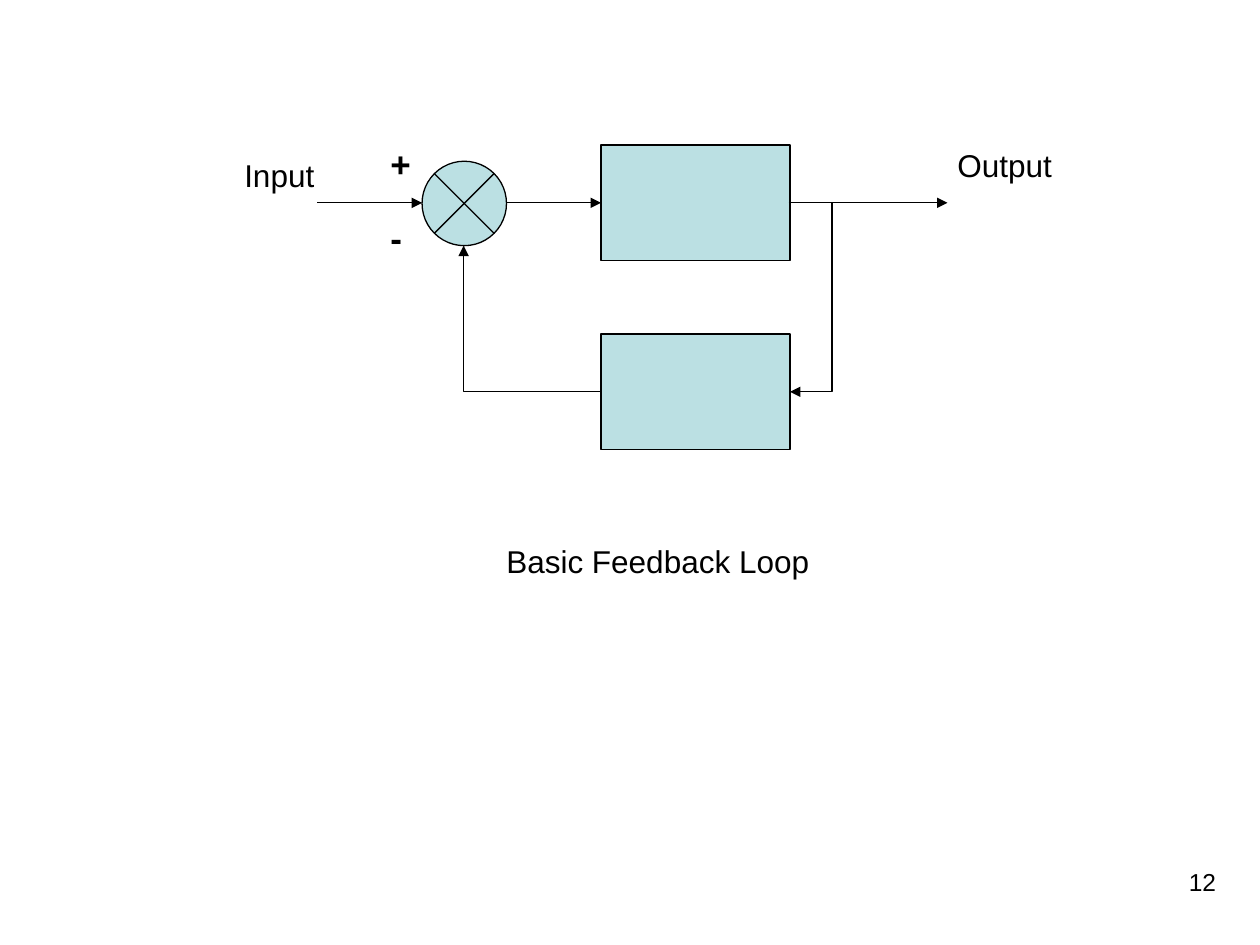
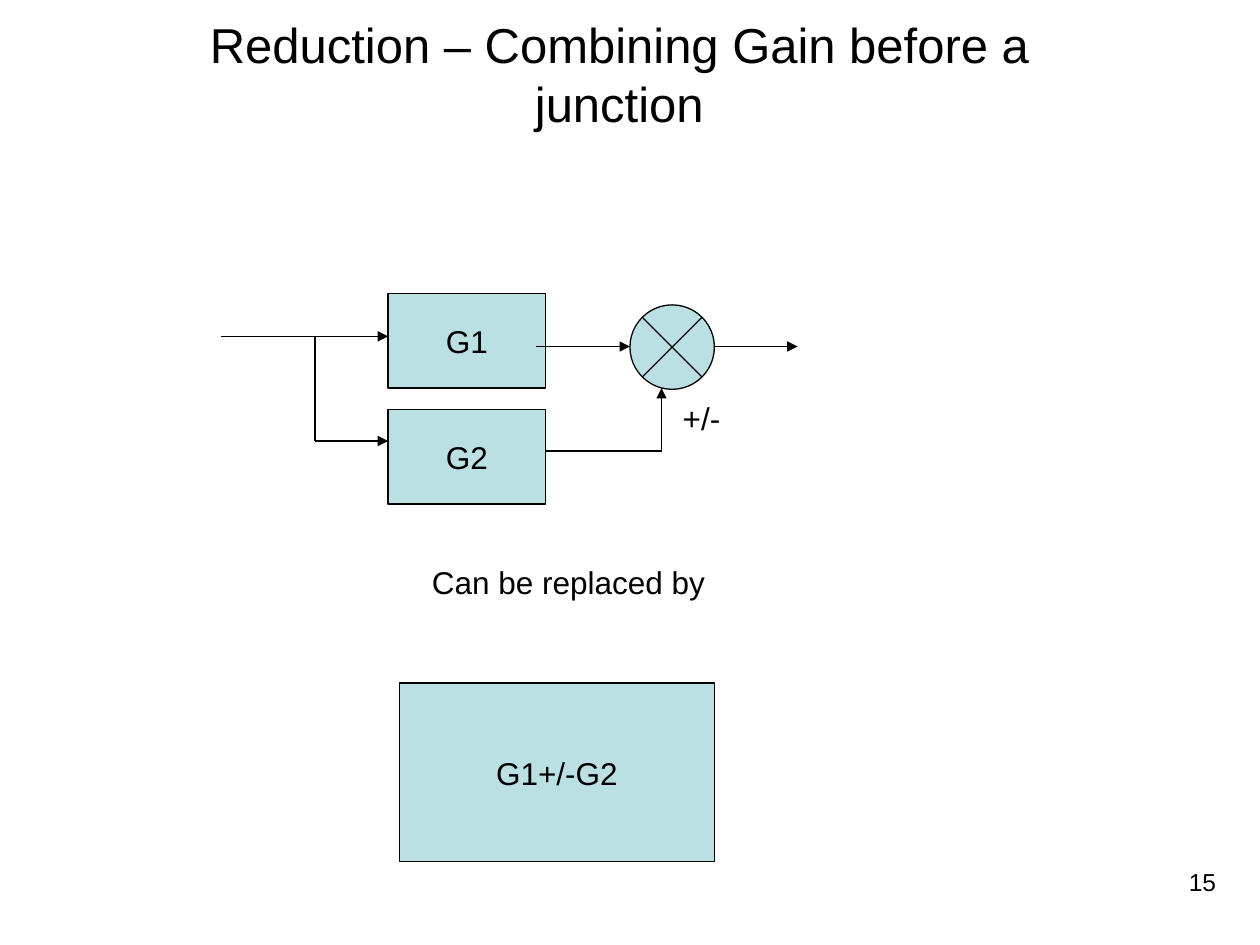
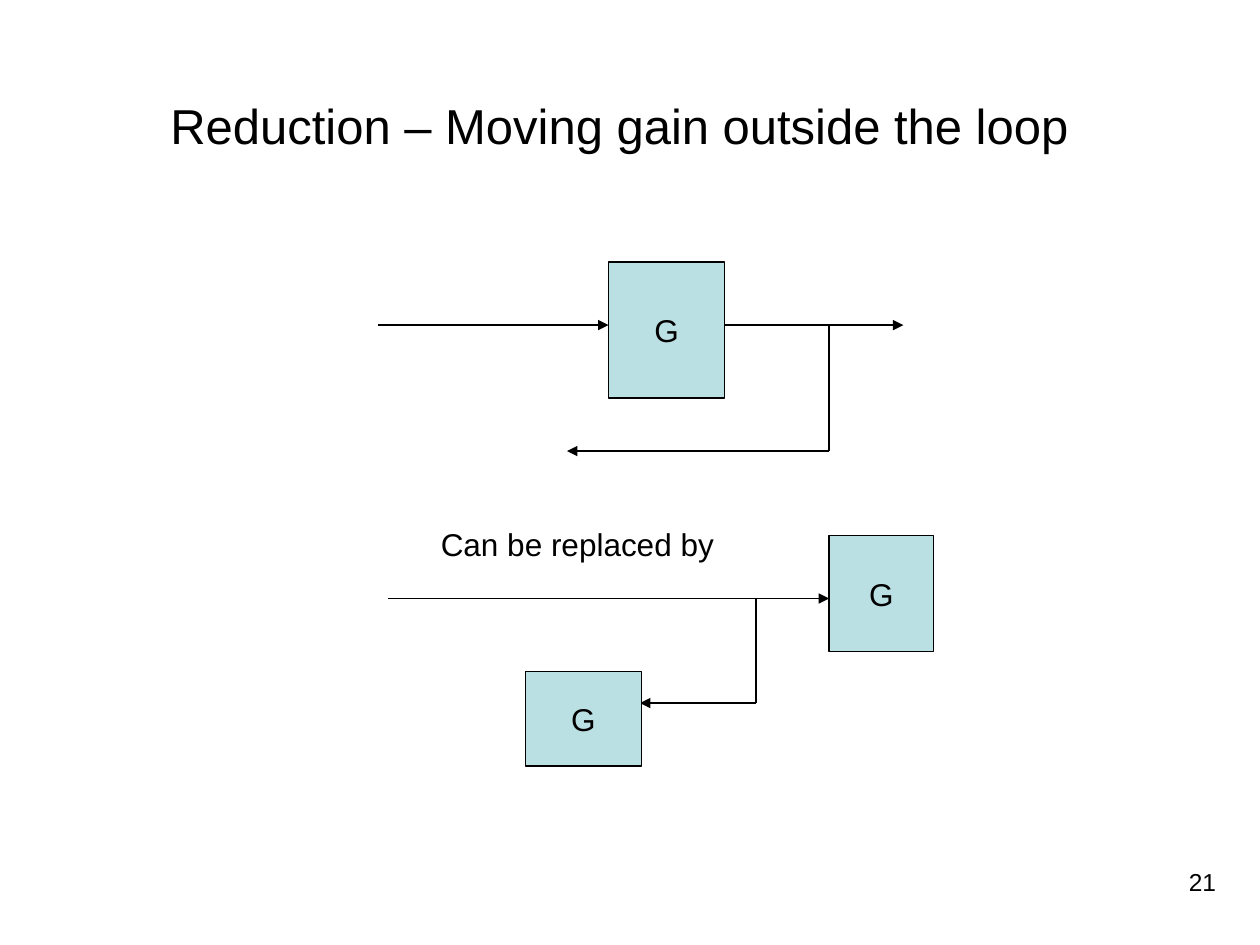
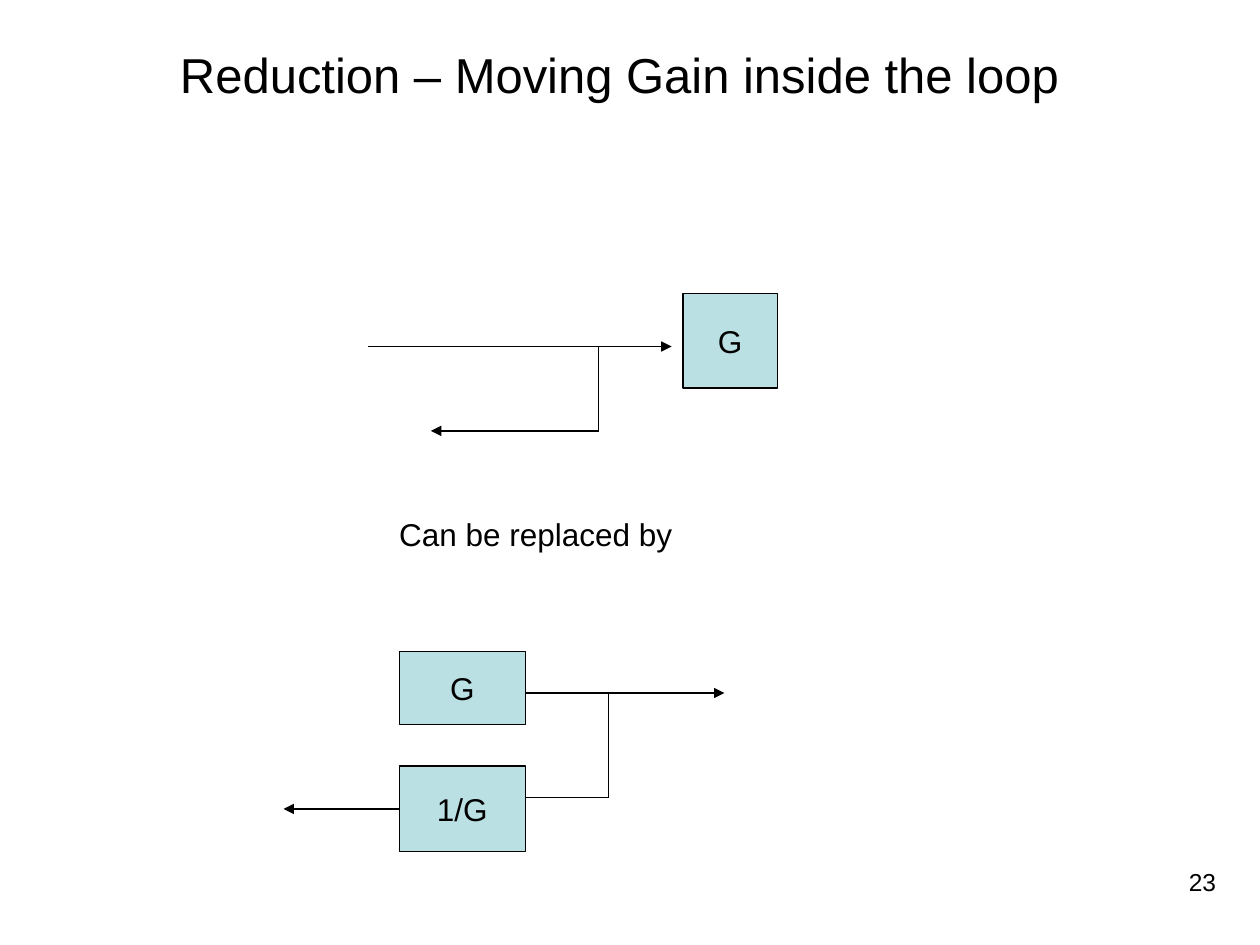
import dataclasses
import itertools

import pptx
import pptx.dml.color
import pptx.enum.shapes
import pptx.enum.text
import pptx.oxml
import pptx.oxml.ns
import pptx.util

Inches = pptx.util.Inches
Shape = pptx.enum.shapes.MSO_SHAPE
Connector = pptx.enum.shapes.MSO_CONNECTOR
Align = pptx.enum.text.PP_ALIGN
Anchor = pptx.enum.text.MSO_ANCHOR

LEFT_SIDE, RIGHT_SIDE = 1, 3
JUNCTION_BOTTOM = 4


@dataclasses.dataclass(frozen=True)
class Theme:
    font: str = "Arial"
    ink: str = "000000"
    block_fill: str = "BBE0E3"
    line_width: float = 0.75
    title_size: int = 28
    sign_size: int = 20
    label_size: int = 18
    page_number_size: int = 14
    junction_size: float = 0.67


THEME = Theme()


def rgb(value):
    return pptx.dml.color.RGBColor.from_string(value)


def drawing_element(tag, attributes=""):
    return pptx.oxml.parse_xml(f'<a:{tag} {pptx.oxml.ns.nsdecls("a")} {attributes}/>')


def write_text(shape, text, *, size=THEME.label_size, bold=False, align=Align.LEFT,
               anchor=Anchor.TOP, wrap=False, inset=(0.1, 0.05)):
    frame = shape.text_frame
    frame.word_wrap = wrap
    frame.vertical_anchor = anchor
    frame.margin_left = frame.margin_right = Inches(inset[0])
    frame.margin_top = frame.margin_bottom = Inches(inset[1])
    paragraph = frame.paragraphs[0]
    paragraph.alignment = align
    run = paragraph.add_run()
    run.text = text
    run.font.name = THEME.font
    run.font.size = pptx.util.Pt(size)
    run.font.bold = bold
    run.font.color.rgb = rgb(THEME.ink)


def style_line(line):
    line.color.rgb = rgb(THEME.ink)
    line.width = pptx.util.Pt(THEME.line_width)


def set_connector_geometry(connector, preset, bend=None):
    """Choose the bent form; bend is the turning place as a multiple of the width."""
    geometry = connector._element.spPr.find(pptx.oxml.ns.qn("a:prstGeom"))
    geometry.set("prst", preset)
    if bend is not None:
        adjustments = geometry.find(pptx.oxml.ns.qn("a:avLst"))
        adjustments.append(drawing_element("gd", f'name="adj1" fmla="val {bend * 100000}"'))


@dataclasses.dataclass
class Region:
    """Part of a slide; everything in it is placed in inches from its top left corner."""
    slide: object
    left: float = 0
    top: float = 0

    def place(self, x, y):
        return Inches(self.left + x), Inches(self.top + y)

    def text(self, text, x, y, width, height, **text_format):
        box = self.slide.shapes.add_textbox(*self.place(x, y), Inches(width), Inches(height))
        write_text(box, text, **text_format)
        return box

    def label(self, text, x, y, width, height=0.4, **text_format):
        box = self.text(text, x, y, width, height, **text_format)
        box.text_frame.auto_size = pptx.enum.text.MSO_AUTO_SIZE.SHAPE_TO_FIT_TEXT

    def filled_shape(self, kind, x, y, width, height):
        shape = self.slide.shapes.add_shape(kind, *self.place(x, y), Inches(width), Inches(height))
        shape.shadow.inherit = False
        shape.fill.solid()
        shape.fill.fore_color.rgb = rgb(THEME.block_fill)
        style_line(shape.line)
        return shape

    def block(self, x, y, width, height, text=None):
        shape = self.filled_shape(Shape.RECTANGLE, x, y, width, height)
        if text:
            write_text(shape, text, align=Align.CENTER, anchor=Anchor.MIDDLE)
        return shape

    def junction(self, x, y):
        return self.filled_shape(Shape.FLOWCHART_SUMMING_JUNCTION, x, y,
                                 THEME.junction_size, THEME.junction_size)

    def connector(self, start, stop, kind=Connector.STRAIGHT, arrow=True):
        connector = self.slide.shapes.add_connector(kind, *self.place(*start), *self.place(*stop))
        style_line(connector.line)
        if arrow:
            connector.line._get_or_add_ln().append(drawing_element("tailEnd", 'type="triangle"'))
        connector._element.spPr.append(drawing_element("effectLst"))
        return connector

    def route(self, *points, begin=None, end=None):
        """Join the points by straight lines with an arrow at the last one.

        begin and end are optional (block, side) pairs to attach to.
        """
        connectors = [self.connector(start, stop, arrow=stop == points[-1])
                      for start, stop in itertools.pairwise(points)]
        if begin:
            connectors[0].begin_connect(*begin)
        if end:
            connectors[-1].end_connect(*end)


def add_slide(presentation, page_number, title=None, title_top=0.17):
    slide = presentation.slides.add_slide(presentation.slide_layouts[6])
    page = Region(slide)
    page.text(page_number, 7.42, 6.83, 2.33, 0.52, size=THEME.page_number_size,
              align=Align.RIGHT, wrap=True)
    if title:
        page.text(title, 1.25, title_top, 7.33, 0.83, size=THEME.title_size, wrap=True,
                  align=Align.CENTER, anchor=Anchor.MIDDLE, inset=(0, 0))
    return slide


def draw_replacement_caption(region):
    region.label("Can be replaced by", 0, 0, 2.44)


def draw_feedback_loop(region):
    forward_y, feedback_y = 0.61, 2.11
    junction = region.junction(1.6, 0.28)
    forward = region.block(3.02, 0.15, 1.5, 0.92)
    feedback = region.block(3.02, 1.65, 1.5, 0.92)
    region.route((0.77, forward_y), (1.6, forward_y))
    region.route((2.27, forward_y), (3.02, forward_y), end=(forward, LEFT_SIDE))

    feedback_tap = region.connector((4.52, forward_y), (4.52, feedback_y), Connector.ELBOW)
    feedback_tap.begin_connect(forward, RIGHT_SIDE)
    feedback_tap.end_connect(feedback, RIGHT_SIDE)
    # The bend is a multiple of the width, so the width must not be zero.
    feedback_tap.begin_x -= Inches(0.01)
    set_connector_geometry(feedback_tap, "bentConnector3", bend=35)

    region.route((4.77, forward_y), (5.77, forward_y))

    feedback_return = region.connector((3.02, feedback_y), (1.93, 0.95), Connector.ELBOW)
    feedback_return.begin_connect(feedback, LEFT_SIDE)
    feedback_return._connect_end_to(junction, JUNCTION_BOTTOM)
    set_connector_geometry(feedback_return, "bentConnector2")

    region.label("+", 1.25, 0.08, 0.36, 0.44, size=THEME.sign_size, bold=True)
    region.label("-", 1.25, 0.67, 0.29, 0.44, size=THEME.sign_size, bold=True)
    region.label("Input", 0.09, 0.19, 0.78)
    region.label("Output", 5.75, 0.11, 0.96)


def draw_parallel_gains(region):
    region.route((0, 0.34), (1.33, 0.34))
    region.route((0.75, 0.34), (0.75, 1.17), (1.33, 1.17))
    for row, name in enumerate(("G1", "G2")):
        region.block(1.33, row * 0.92, 1.25, 0.75, name)
    region.junction(3.25, 0.09)
    region.route((2.5, 0.42), (3.25, 0.42))
    region.route((2.58, 1.25), (3.5, 1.25), (3.5, 0.75))
    region.label("+/-", 3.57, 0.79, 0.5)
    region.route((3.92, 0.42), (4.58, 0.42))


def draw_gain_before_branch(region):
    region.route((0, 0.5), (1.83, 0.5))
    region.block(1.83, 0, 0.92, 1.08, "G")
    region.route((2.75, 0.5), (4.17, 0.5))
    region.route((3.58, 0.5), (3.58, 1.5), (1.5, 1.5))


def draw_gain_in_both_branches(region):
    region.route((0, 0.5), (3.5, 0.5))
    region.route((2.92, 0.5), (2.92, 1.33), (2, 1.33))
    region.block(3.5, 0, 0.83, 0.92, "G")
    region.block(1.09, 1.08, 0.92, 0.75, "G")


def draw_gain_after_branch(region):
    region.route((0, 0.42), (2.41, 0.42))
    region.route((1.83, 0.42), (1.83, 1.09), (0.5, 1.09))
    region.block(2.5, 0, 0.75, 0.75, "G")


def draw_gain_with_inverse(region):
    region.route((1.75, 0.33), (3.5, 0.33))
    region.route((2.58, 0.33), (2.58, 1.16), (1.75, 1.16))
    region.block(0.92, 0, 1, 0.58, "G")
    inverse = region.block(0.92, 0.91, 1, 0.68, "1/G")
    region.route((0.92, 1.25), (0, 1.25), begin=(inverse, LEFT_SIDE))


def build_feedback_slide(presentation):
    slide = add_slide(presentation, "12")
    draw_feedback_loop(Region(slide, 1.75, 1))
    Region(slide, 3.92, 4.25).label("Basic Feedback Loop", 0, 0, 2.63)


def build_combining_slide(presentation):
    slide = add_slide(presentation, "15", "Reduction – Combining Gain before a junction")
    draw_parallel_gains(Region(slide, 1.75, 2.33))
    draw_replacement_caption(Region(slide, 3.33, 4.42))
    Region(slide, 3.17, 5.42).block(0, 0, 2.5, 1.42, "G1+/-G2")


def build_outside_loop_slide(presentation):
    slide = add_slide(presentation, "21", "Reduction – Moving gain outside the loop", title_top=0.58)
    draw_gain_before_branch(Region(slide, 3, 2.08))
    draw_gain_in_both_branches(Region(slide, 3.08, 4.25))
    draw_replacement_caption(Region(slide, 3.4, 4.12))


def build_inside_loop_slide(presentation):
    slide = add_slide(presentation, "23", "Reduction – Moving Gain inside the loop")
    draw_gain_after_branch(Region(slide, 2.92, 2.33))
    draw_replacement_caption(Region(slide, 3.07, 4.04))
    draw_gain_with_inverse(Region(slide, 2.25, 5.17))


def main():
    presentation = pptx.Presentation()
    presentation.slide_width = Inches(10)
    presentation.slide_height = Inches(7.5)
    build_feedback_slide(presentation)
    build_combining_slide(presentation)
    build_outside_loop_slide(presentation)
    build_inside_loop_slide(presentation)
    presentation.save("out.pptx")


if __name__ == "__main__":
    main()
